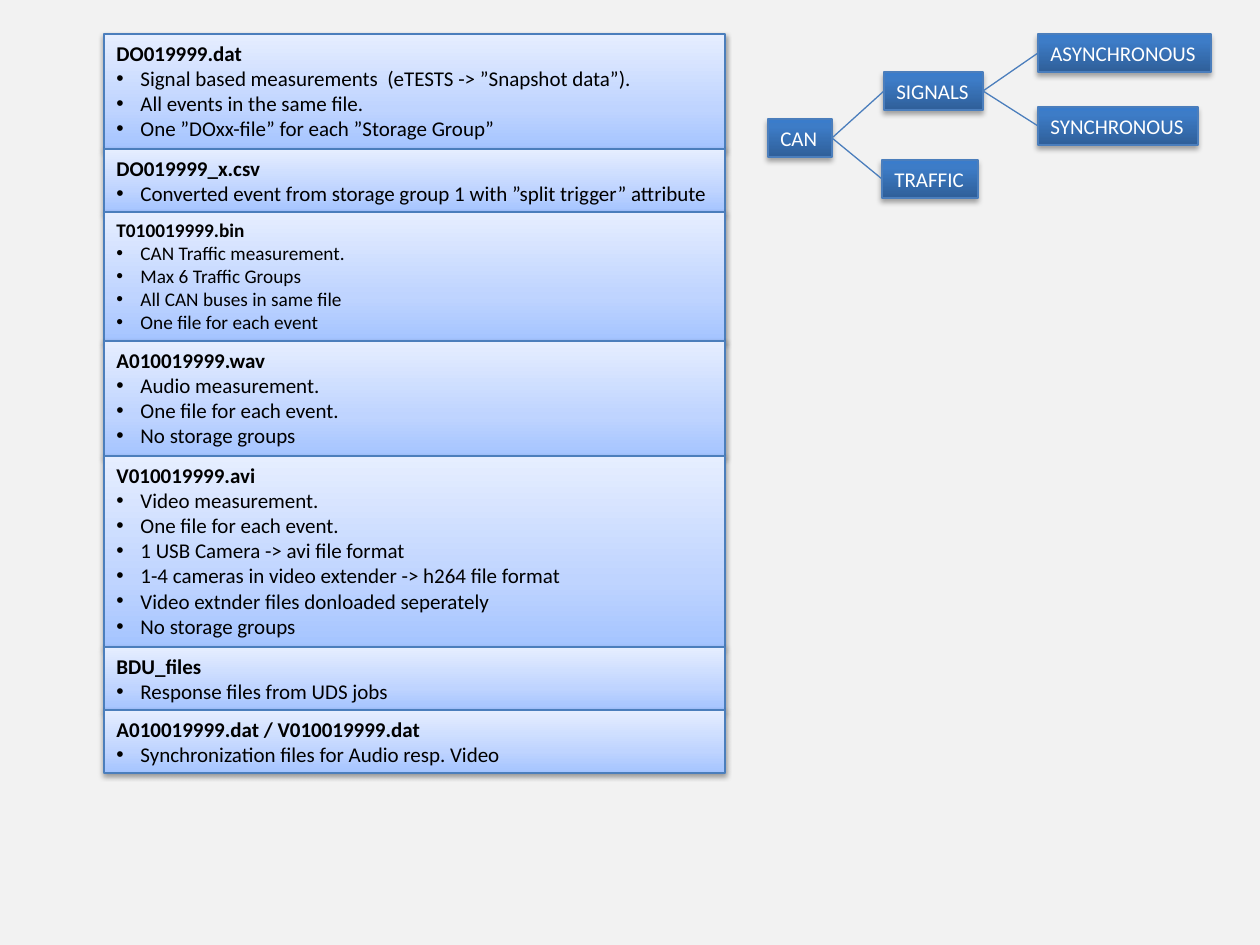
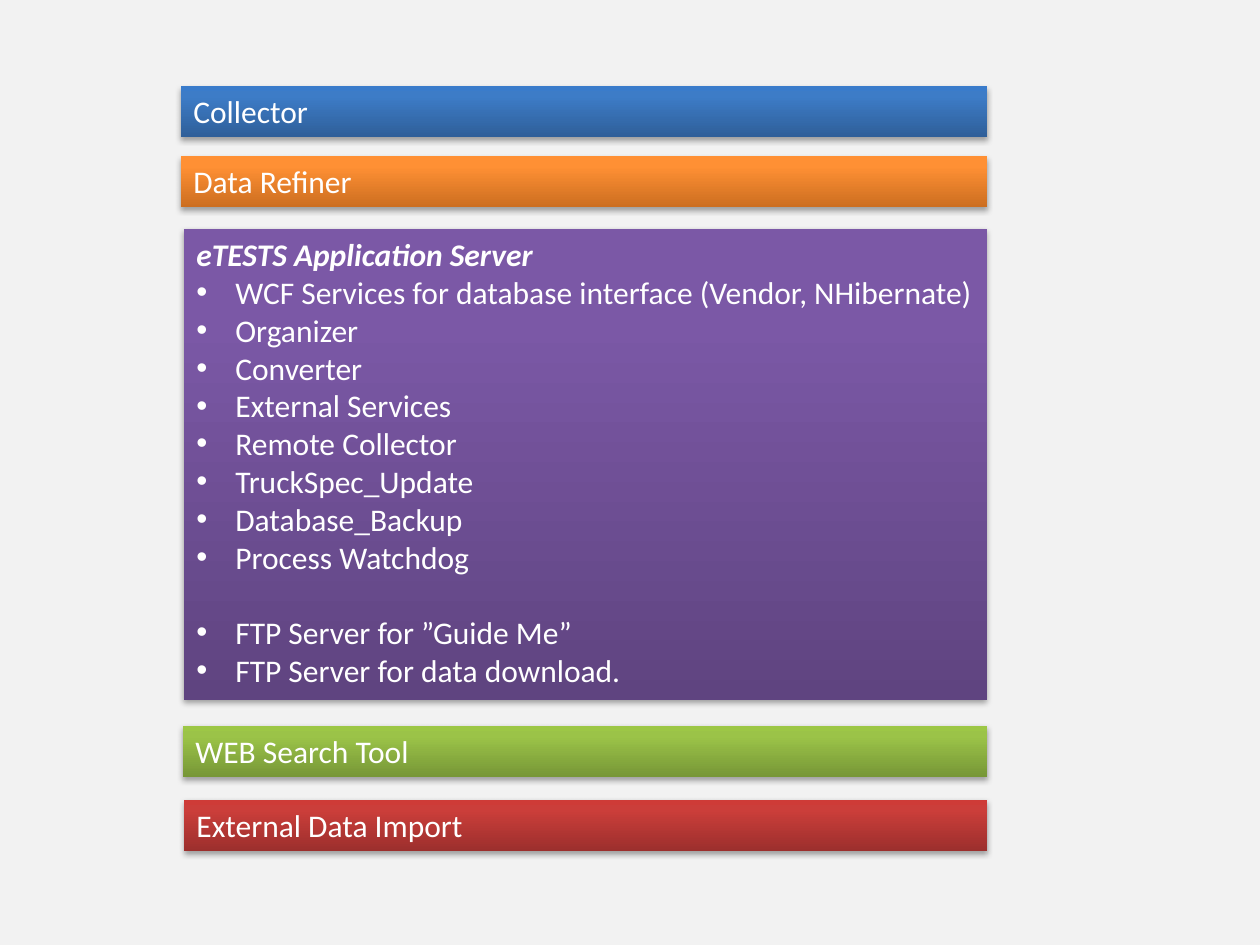
from lxml import etree
from pptx import Presentation
from pptx.dml.color import RGBColor
from pptx.enum.shapes import MSO_CONNECTOR, MSO_SHAPE
from pptx.enum.text import MSO_ANCHOR, PP_ALIGN
from pptx.oxml.ns import qn
from pptx.util import Emu, Pt

RECTANGLE = MSO_SHAPE.RECTANGLE
STRAIGHT = MSO_CONNECTOR.STRAIGHT
TOP = MSO_ANCHOR.TOP
LEFT = PP_ALIGN.LEFT
LEFT_SITE, RIGHT_SITE = 1, 3

EMU_PER_PIXEL = 914400 / 126
BLANK_LAYOUT = 6
FONT = "Calibri"
LINE_WIDTH = Pt(0.75)

BACKGROUND = RGBColor(0xF2, 0xF2, 0xF2)
BLACK = RGBColor(0x00, 0x00, 0x00)
WHITE = RGBColor(0xFF, 0xFF, 0xFF)
OUTLINE = RGBColor(0x4B, 0x7E, 0xBC)


def gradient(middle_position, *hex_colours):
    colours = [RGBColor.from_string(colour) for colour in hex_colours]
    return list(zip((0, middle_position, 100), colours))


PALE_BLUE = gradient(35, "A4C4FF", "BFD4FF", "E6EEFF")
BLUE = gradient(80, "2F5F99", "3D7CC7", "3A7CCB")
ORANGE = gradient(80, "CC6E20", "FF9034", "FF9136")
PURPLE = gradient(80, "5F4480", "7B58A6", "7C57A8")
GREEN = gradient(80, "779737", "9BC348", "9DC746")
RED = gradient(80, "9C2F2D", "CB3E3A", "CE3B37")

FILE_CARDS = [
    (115, 12, "DO019999.dat", [
        "Signal based measurements  (eTESTS -> ”Snapshot data”).",
        "All events in the same file.",
        "One ”DOxx-file” for each ”Storage Group”"]),
    (63, 12, "DO019999_x.csv", [
        "Converted event from storage group 1 with ”split trigger” attribute"]),
    (129, 11, "T010019999.bin", [
        "CAN Traffic measurement.",
        "Max 6 Traffic Groups",
        "All CAN buses in same file",
        "One file for each event"]),
    (115, 12, "A010019999.wav", [
        "Audio measurement.",
        "One file for each event.",
        "No storage groups"]),
    (191, 12, "V010019999.avi", [
        "Video measurement.",
        "One file for each event.",
        "1 USB Camera -> avi file format",
        "1-4 cameras in video extender -> h264 file format",
        "Video extnder files donloaded seperately",
        "No storage groups"]),
    (63, 12, "BDU_files", ["Response files from UDS jobs"]),
    (63, 12, "A010019999.dat / V010019999.dat", [
        "Synchronization files for Audio resp. Video"]),
]

TREE_NODES = {
    "CAN": (768, 119, 64),
    "SIGNALS": (884, 72, 99),
    "TRAFFIC": (882, 160, 96),
    "ASYNCHRONOUS": (1038, 34, 173),
    "SYNCHRONOUS": (1038, 107, 160),
}
TREE_EDGES = [
    ("CAN", "SIGNALS"),
    ("CAN", "TRAFFIC"),
    ("SIGNALS", "ASYNCHRONOUS"),
    ("SIGNALS", "SYNCHRONOUS"),
]

BARS = [
    (181, 86, BLUE, "Collector"),
    (181, 156, ORANGE, "Data Refiner"),
    (183, 726, GREEN, "WEB Search Tool"),
    (184, 800, RED, "External Data Import"),
]
BARS_RIGHT = 987
SERVER_TITLE = "eTESTS Application Server"
SERVICES = [
    "WCF Services for database interface (Vendor, NHibernate)",
    "Organizer",
    "Converter",
    "External Services",
    "Remote Collector",
    "TruckSpec_Update",
    "Database_Backup",
    "Process Watchdog",
    "FTP Server for ”Guide Me”",
    "FTP Server for data download.",
]
FIRST_FTP = 8


def px(pixels):
    return Emu(round(pixels * EMU_PER_PIXEL))


def add_colour(parent, colour):
    return etree.SubElement(parent, qn("a:srgbClr"), val=str(colour))


def set_gradient(shape, stops):
    shape.fill.gradient()
    shape.fill.gradient_angle = 90
    stop_list = next(shape._element.spPr.iter(qn("a:gsLst")))
    for stop in list(stop_list):
        stop_list.remove(stop)
    for position, colour in stops:
        stop = etree.SubElement(stop_list, qn("a:gs"), pos=str(position * 1000))
        add_colour(stop, colour)


def set_shadow(shape, distance, opacity):
    shape.shadow.inherit = False
    effects = shape._element.spPr.find(qn("a:effectLst"))
    shadow = etree.SubElement(
        effects, qn("a:outerShdw"), blurRad=str(Pt(3.1)), dist=str(Pt(distance)),
        dir="5400000", rotWithShape="0")
    colour = add_colour(shadow, BLACK)
    etree.SubElement(colour, qn("a:alpha"), val=str(opacity * 1000))


def add_box(slide, left, top, width, height, stops, outlined=False):
    shape = slide.shapes.add_shape(
        RECTANGLE, px(left), px(top), px(width), px(height))
    set_gradient(shape, stops)
    if outlined:
        shape.line.color.rgb = OUTLINE
        shape.line.width = LINE_WIDTH
    else:
        shape.line.fill.background()
    if stops is PALE_BLUE:
        set_shadow(shape, 1.6, 38)
    else:
        set_shadow(shape, 1.8, 35)
    shape.text_frame.vertical_anchor = TOP
    return shape


def write_lines(shape, lines, size, colour):
    shape.text_frame.text = "\n".join(lines)
    for paragraph in shape.text_frame.paragraphs:
        paragraph.alignment = LEFT
        for run in paragraph.runs:
            run.font.name = FONT
            run.font.size = Pt(size)
            run.font.color.rgb = colour


def add_bullet(paragraph, indent):
    properties = paragraph._p.get_or_add_pPr()
    properties.set("marL", str(px(indent)))
    properties.set("indent", str(-px(indent)))
    etree.SubElement(properties, qn("a:buFont"), typeface="Arial")
    etree.SubElement(properties, qn("a:buChar"), char="•")


def write_list(shape, title, items, size, colour, indent, italic=False):
    write_lines(shape, [title, *items], size, colour)
    heading, *bullets = shape.text_frame.paragraphs
    heading.runs[0].font.bold = True
    heading.runs[0].font.italic = italic
    for paragraph in bullets:
        add_bullet(paragraph, indent)
    return bullets


def add_file_cards(slide):
    top = 34
    for height, size, title, items in FILE_CARDS:
        card = add_box(slide, 104, top, 621, height, PALE_BLUE, outlined=True)
        write_list(card, title, items, size, BLACK, 24)
        top += height


def add_signal_tree(slide):
    nodes = {}
    for label, (left, top, width) in TREE_NODES.items():
        node = add_box(slide, left, top, width, 38, BLUE, outlined=True)
        node.text_frame.word_wrap = False
        write_lines(node, [label], 12, WHITE)
        nodes[label] = node
    for parent, child in TREE_EDGES:
        connector = slide.shapes.add_connector(STRAIGHT, 0, 0, 0, 0)
        connector.begin_connect(nodes[parent], RIGHT_SITE)
        connector.end_connect(nodes[child], LEFT_SITE)
        connector.line.color.rgb = OUTLINE
        connector.line.width = LINE_WIDTH
        etree.SubElement(connector._element.spPr, qn("a:effectLst"))


def add_server_panel(slide):
    left = 184
    panel = add_box(slide, left, 229, BARS_RIGHT - left, 471, PURPLE)
    bullets = write_list(
        panel, SERVER_TITLE, SERVICES, 18, WHITE, 39, italic=True)
    bullets[FIRST_FTP].space_before = Pt(21.6)


def add_bars(slide):
    for left, top, stops, label in BARS:
        bar = add_box(slide, left, top, BARS_RIGHT - left, 51, stops)
        write_lines(bar, [label], 18, WHITE)


def add_blank_slide(presentation):
    return presentation.slides.add_slide(presentation.slide_layouts[BLANK_LAYOUT])


def main():
    presentation = Presentation()
    presentation.slide_width = px(1260)
    presentation.slide_height = px(945)
    background = presentation.slide_master.background.fill
    background.solid()
    background.fore_color.rgb = BACKGROUND

    files_slide = add_blank_slide(presentation)
    add_file_cards(files_slide)
    add_signal_tree(files_slide)

    components_slide = add_blank_slide(presentation)
    add_server_panel(components_slide)
    add_bars(components_slide)

    presentation.save("out.pptx")


main()
